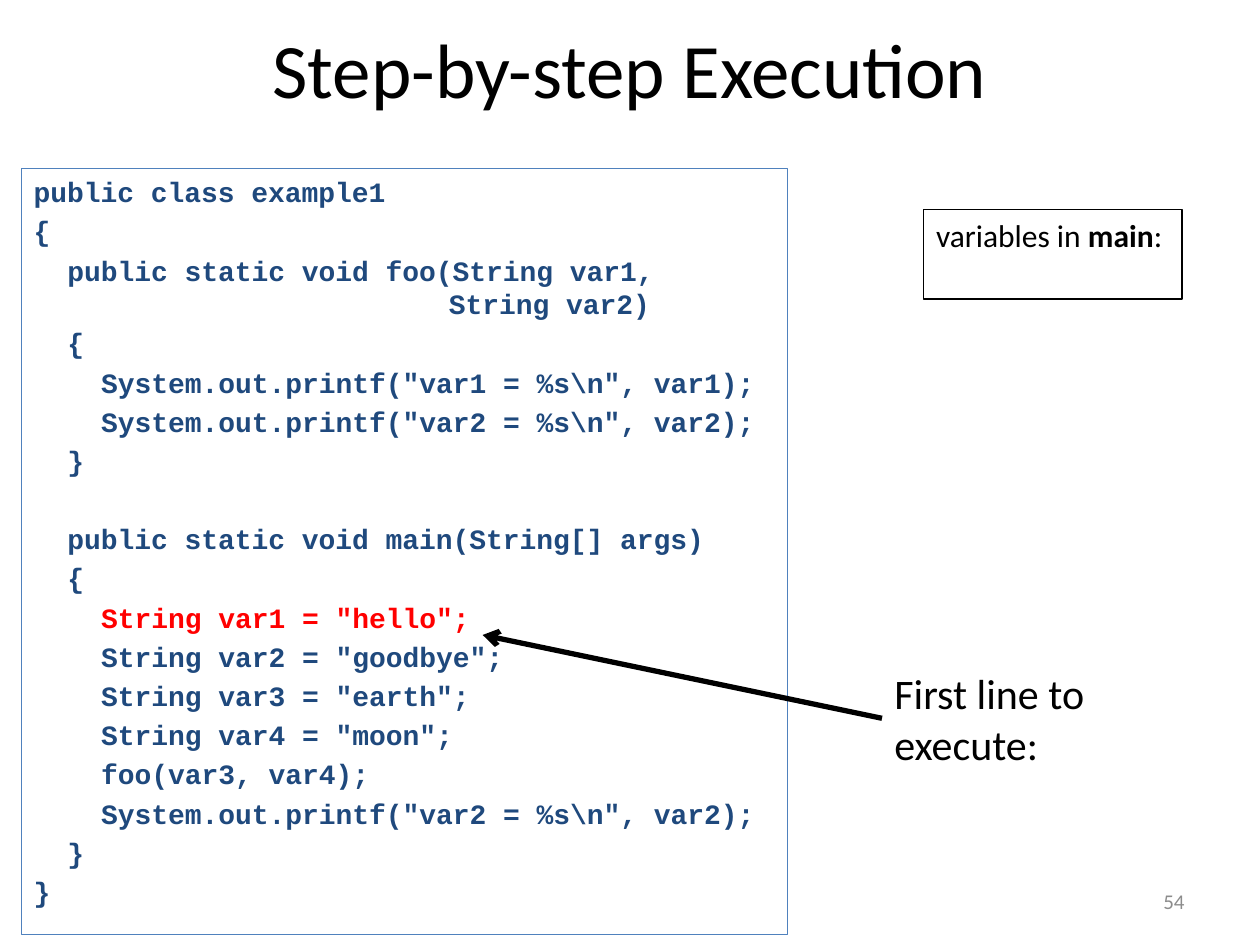
from lxml.etree import SubElement
from pptx import Presentation
from pptx.dml.color import RGBColor
from pptx.enum.shapes import MSO_CONNECTOR
from pptx.enum.text import MSO_ANCHOR as Anchor, PP_ALIGN as Align
from pptx.oxml.ns import qn
from pptx.util import Cm, Pt

NAVY, RED, BLACK, GRAY, BLUE = "1F497D", "FF0000", "000000", "8C8C8C", "4F81BD"
CODE_SIZE = 16
INDENT_STEP = 0.68  # two characters of code, in cm
ARGUMENT_INDENT = 8.37  # aligns the second argument with the first
LINE_GAP = 0.2 * CODE_SIZE
METHOD_GAP = 25.5  # one empty line of code between methods

# Each line: nesting level and text
FOO_LINES = [
    (0, "public class example1"),
    (0, "{"),
    (1, "public static void foo(String var1,\nString var2)"),
    (1, "{"),
    (2, 'System.out.printf("var1 = %s\\n", var1);'),
    (2, 'System.out.printf("var2 = %s\\n", var2);'),
    (1, "}"),
]
MAIN_LINES = [
    (1, "public static void main(String[] args)"),
    (1, "{"),
    (2, 'String var1 = "hello";'),
    (2, 'String var2 = "goodbye";'),
    (2, 'String var3 = "earth";'),
    (2, 'String var4 = "moon";'),
    (2, "foo(var3, var4);"),
    (2, 'System.out.printf("var2 = %s\\n", var2);'),
    (1, "}"),
    (0, "}"),
]
CURRENT_LINE = 'String var1 = "hello";'


def rgb(value):
    return RGBColor.from_string(value)


def add_run(para, text, size, color=BLACK, font="Calibri", bold=False):
    """Add text to a paragraph, with a line break at each newline."""
    for number, part in enumerate(text.split("\n")):
        if number:
            para.add_line_break()
        span = para.add_run()
        span.text = part
        span.font.name = font
        span.font.size = Pt(size)
        span.font.bold = bold
        span.font.color.rgb = rgb(color)


def add_box(page, left, top, width, height, border=None, wrap=True):
    box = page.shapes.add_textbox(Cm(left), Cm(top), Cm(width), Cm(height))
    box.text_frame.word_wrap = wrap
    if border:
        box.line.color.rgb = rgb(border)
        box.line.width = Pt(0.75)
    return box.text_frame


def set_indent(para, left, first):
    """Set the left margin and the start of the first line, both in cm."""
    properties = para._p.get_or_add_pPr()
    properties.set("marL", str(Cm(left)))
    properties.set("indent", str(Cm(first - left)))


def add_title(page, text):
    title = page.shapes.title
    title.left, title.top = Cm(1.27), Cm(0.2)
    title.width, title.height = Cm(22.86), Cm(2.34)
    title.text_frame.vertical_anchor = Anchor.MIDDLE
    para = title.text_frame.paragraphs[0]
    para.alignment = Align.CENTER
    add_run(para, text, 44)


def add_code(page):
    frame = add_box(page, 0.43, 3.4, 15.44, 15.44, border=BLUE)
    frame.margin_bottom = 0
    for number, (level, text) in enumerate(FOO_LINES + MAIN_LINES):
        para = frame.add_paragraph() if number else frame.paragraphs[0]
        starts_main = number == len(FOO_LINES)
        para.space_before = Pt(METHOD_GAP if starts_main else LINE_GAP)
        first = level * INDENT_STEP
        set_indent(para, ARGUMENT_INDENT if "\n" in text else first, first)
        color = RED if text == CURRENT_LINE else NAVY
        add_run(para, text, CODE_SIZE, color, "Courier New", bold=True)


def add_variables(page):
    para = add_box(page, 18.62, 4.23, 5.21, 1.8, border=BLACK).paragraphs[0]
    add_run(para, "variables in ", 18)
    add_run(para, "main", 18, bold=True)
    add_run(para, ":", 18)


def add_callout(page):
    frame = add_box(page, 17.78, 13.34, 4.57, 2.31, wrap=False)
    add_run(frame.paragraphs[0], "First line to\nexecute:", 24)


def add_arrow(page, start, end):
    arrow = page.shapes.add_connector(
        MSO_CONNECTOR.STRAIGHT, *(Cm(value) for value in start + end))
    arrow.line.color.rgb = rgb(BLACK)
    arrow.line.width = Pt(3)
    SubElement(arrow.line._get_or_add_ln(), qn("a:tailEnd"), type="arrow")
    SubElement(arrow._element.spPr, qn("a:effectLst"))


def add_page_number(page, number):
    frame = add_box(page, 18.2, 17.66, 5.93, 1.01)
    frame.vertical_anchor = Anchor.MIDDLE
    para = frame.paragraphs[0]
    para.alignment = Align.RIGHT
    add_run(para, number, 12, GRAY)


def main():
    deck = Presentation()
    deck.slide_width, deck.slide_height = Cm(25.4), Cm(19.05)
    page = deck.slides.add_slide(deck.slide_layouts.get_by_name("Title Only"))
    add_title(page, "Step-by-step Execution")
    add_page_number(page, "54")
    add_callout(page)
    add_variables(page)
    add_code(page)
    add_arrow(page, (17.78, 14.48), (9.73, 12.8))
    deck.save("out.pptx")


if __name__ == "__main__":
    main()
